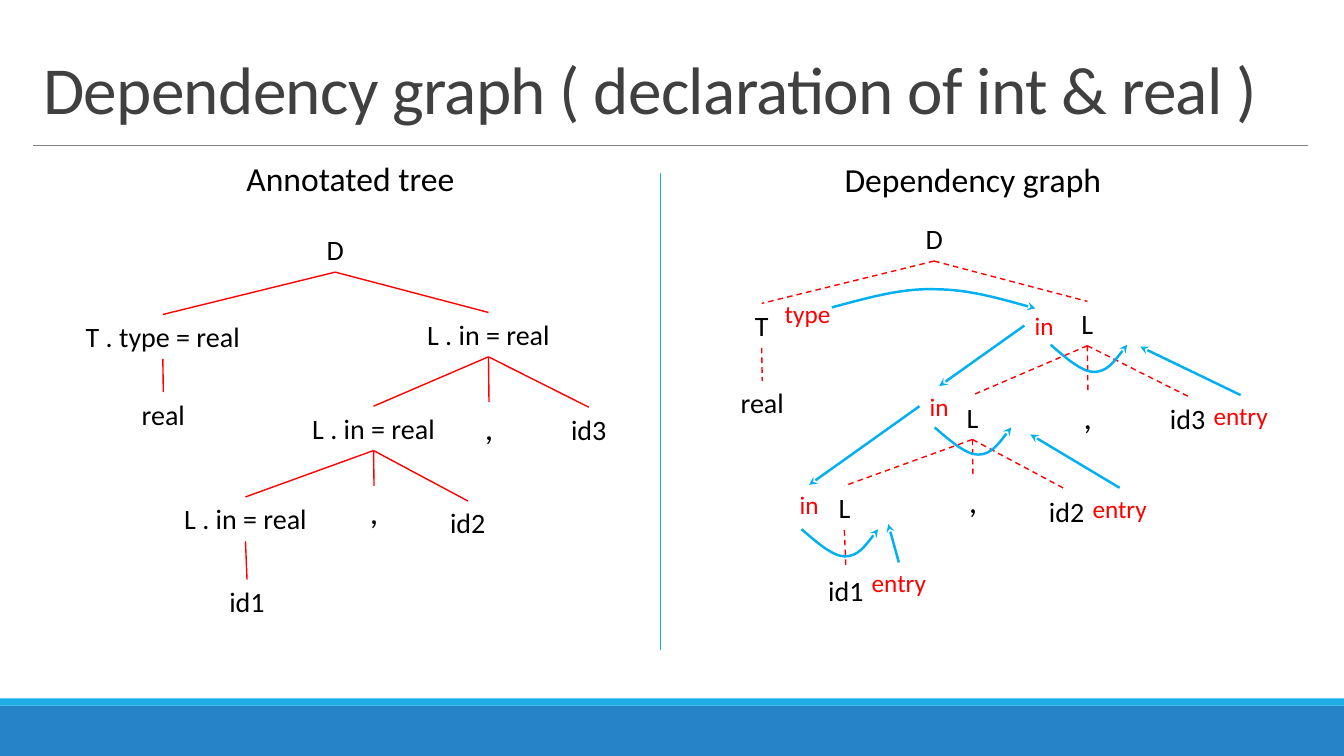
from lxml import etree
from pptx import Presentation
from pptx import util as u
from pptx.dml.color import RGBColor
from pptx.enum import dml, shapes, text
from pptx.oxml.ns import qn

FONT = "Calibri"
BLACK = RGBColor(0x00, 0x00, 0x00)
DARK_GREY = RGBColor(0x40, 0x40, 0x40)
GREY = RGBColor(0x80, 0x80, 0x80)
RED = RGBColor(0xFF, 0x00, 0x00)
ARROW_BLUE = RGBColor(0x00, 0xB0, 0xF0)
BAND_BLUE = RGBColor(0x26, 0x83, 0xC6)
ACCENT_BLUE = RGBColor(0x1C, 0xAD, 0xE4)

NODES = {
    "root": ("D", 2.44, 0, 0.55),
    "type": ("T . type = real", 0, 0.86, 2.01),
    "list3": ("L . in = real", 3.45, 0.84, 1.57),
    "list2": ("L . in = real", 2.31, 1.77, 1.57),
    "list1": ("L . in = real", 1.04, 2.67, 1.57),
    "real": ("real", 0.69, 1.63, 0.64),
    "id1": ("id1", 1.56, 3.49, 0.56),
    "id2": ("id2", 3.75, 2.71, 0.56),
    "id3": ("id3", 4.95, 1.78, 0.56),
    "comma2": (",", 2.88, 2.56, 0.44),
    "comma3": (",", 3.98, 1.73, 0.52),
}
EDGES = {
    "root": ["type", "list3"],
    "type": ["real"],
    "list3": ["comma3", "list2", "id3"],
    "list2": ["comma2", "list1", "id2"],
    "list1": ["id1"],
}
ATTRIBUTES = {
    "type": ("type", 1.13, 0.76, 0.66),
    "in3": ("in ", 3.61, 0.88, 0.45),
    "in2": ("in", 2.57, 1.68, 0.39),
    "in1": ("in", 1.28, 2.66, 0.39),
    "entry1": ("entry", 1.99, 3.43, 0.75),
    "entry2": ("entry", 4.18, 2.69, 0.75),
    "entry3": ("entry", 5.38, 1.77, 0.75),
}
ENTRY_TARGETS = {"entry1": (2.26, 3.05), "entry2": (3.67, 2.16), "entry3": (4.76, 1.29)}
SWOOP = [(0.15, 0.13), (0.31, 0.27), (0.43, 0.27), (0.56, 0.27), (0.66, 0.13), (0.76, 0)]
SWOOP_STARTS = [(1.4, 3.1), (2.72, 2.09), (3.87, 1.27)]
ARC = [(0.34, -0.09), (0.68, -0.19), (1.01, -0.18), (1.35, -0.18), (1.69, -0.08), (2.02, 0.01)]
ARC_START = (1.7, 0.9)


def add_label(parent, words, left, top, width, height, size, color=BLACK, wrap=False):
    shape = parent.shapes.add_textbox(*map(u.Inches, (left, top, width, height)))
    frame = shape.text_frame
    frame.word_wrap = wrap
    frame.auto_size = text.MSO_AUTO_SIZE.SHAPE_TO_FIT_TEXT
    paragraph = frame.paragraphs[0]
    paragraph.alignment = text.PP_ALIGN.CENTER
    run = paragraph.add_run()
    run.text = words
    run.font.name = FONT
    run.font.size = u.Pt(size)
    run.font.color.rgb = color
    return shape


def style_line(shape, color, width, dashed=False, arrow=False):
    shape.line.color.rgb = color
    shape.line.width = u.Pt(width)
    if dashed:
        shape.line.dash_style = dml.MSO_LINE.DASH
    if arrow:
        outline = shape._element.spPr.find(qn("a:ln"))
        etree.SubElement(outline, qn("a:tailEnd"), type="stealth")


def add_line(parent, start, end, color, width, dashed=False, arrow=False):
    points = map(u.Inches, (*start, *end))
    connector = parent.shapes.add_connector(shapes.MSO_CONNECTOR.STRAIGHT, *points)
    style_line(connector, color, width, dashed, arrow)
    etree.SubElement(connector._element.spPr, qn("a:effectLst"))
    return connector


def add_curve(parent, left, top, offsets):
    builder = parent.shapes.build_freeform(u.Inches(left), u.Inches(top))
    points = [(u.Inches(left + x), u.Inches(top + y)) for x, y in offsets]
    builder.add_line_segments(points, close=False)
    shape = builder.convert_to_shape()
    segments = list(shape._element.iter(qn("a:lnTo")))
    for first in range(0, len(segments), 3):
        curve = etree.Element(qn("a:cubicBezTo"))
        segments[first].addprevious(curve)
        for segment in segments[first:first + 3]:
            curve.append(segment[0])
            segment.getparent().remove(segment)
    shape.fill.background()
    shape.shadow.inherit = False
    style_line(shape, ARROW_BLUE, 1.75, arrow=True)


def add_tree(slide, left, top, symbols_only=False):
    group = slide.shapes.add_group_shape()
    placed = {}
    for name, (words, x, y, width) in NODES.items():
        if symbols_only:
            words = words.split(" ")[0]
        comma = words == ","
        height, size = (0.5, 24) if comma else (0.44, 20)
        wrap = name[:2] != "id" and name != "real"
        placed[name] = add_label(group, words, left + x, top + y, width, height, size, wrap=wrap)
    for parent, children in EDGES.items():
        for child in children:
            edge = add_line(group, (left, top), (left + 1, top + 1), RED, 1, symbols_only)
            edge.begin_connect(placed[parent], 2)
            edge.end_connect(placed[child], 0)


def add_dependencies(slide, left, top):
    group = slide.shapes.add_group_shape()
    placed = {
        name: add_label(group, words, left + x, top + y, width, 0.4, 18, RED)
        for name, (words, x, y, width) in ATTRIBUTES.items()
    }
    add_curve(group, left + ARC_START[0], top + ARC_START[1], ARC)
    for x, y in SWOOP_STARTS:
        add_curve(group, left + x, top + y, SWOOP)
    for source, target in [("in3", "in2"), ("in2", "in1")]:
        arrow = add_line(group, (left + 2, top + 2), (left + 3, top + 3), ARROW_BLUE, 1.75, arrow=True)
        arrow.begin_connect(placed[source], 1)
        arrow.end_connect(placed[target], 0)
    for name, (x, y) in ENTRY_TARGETS.items():
        end = (left + x, top + y)
        arrow = add_line(group, end, end, ARROW_BLUE, 1.75, arrow=True)
        arrow.begin_connect(placed[name], 0)


def add_title(slide, left, top, width, height):
    title = slide.shapes.title
    title.left, title.top, title.width, title.height = map(u.Inches, (left, top, width, height))
    frame = title.text_frame
    frame.word_wrap = True
    frame.auto_size = text.MSO_AUTO_SIZE.NONE
    frame.vertical_anchor = text.MSO_ANCHOR.BOTTOM
    paragraph = frame.paragraphs[0]
    paragraph.alignment = text.PP_ALIGN.LEFT
    paragraph.line_spacing = 0.85
    run = paragraph.add_run()
    run.text = "Dependency graph ( declaration of int & real )"
    run.font.name = FONT
    run.font.size = u.Pt(48)
    run.font.color.rgb = DARK_GREY
    run._r.get_or_add_rPr().set("spc", "-50")
    add_line(slide, (left, 1.44), (left + width, 1.44), GREY, 0.5)


def add_footer_bands(slide, width):
    for top, height, color in [(7, 0.5, BAND_BLUE), (6.93, 0.07, ACCENT_BLUE)]:
        band = slide.shapes.add_shape(
            shapes.MSO_SHAPE.RECTANGLE, *map(u.Inches, (0, top, width, height)))
        band.fill.solid()
        band.fill.fore_color.rgb = color
        band.line.fill.background()
        band.shadow.inherit = False


def main():
    presentation = Presentation()
    presentation.slide_width = u.Inches(13.33)
    presentation.slide_height = u.Inches(7.5)
    slide = presentation.slides.add_slide(presentation.slide_layouts[5])
    add_footer_bands(slide, 13.33)
    add_title(slide, 0.33, 0.31, 12.64, 1.01)
    add_tree(slide, 0.61, 2.26)
    add_tree(slide, 6.55, 2.15, symbols_only=True)
    add_dependencies(slide, 6.55, 2.15)
    add_label(slide, "Annotated tree", 2.33, 1.52, 2.29, 0.5, 24)
    add_label(slide, "Dependency graph", 8.26, 1.53, 2.78, 0.5, 24)
    add_line(slide, (6.55, 1.72), (6.55, 6.45), ACCENT_BLUE, 1)
    presentation.save("out.pptx")


if __name__ == "__main__":
    main()
